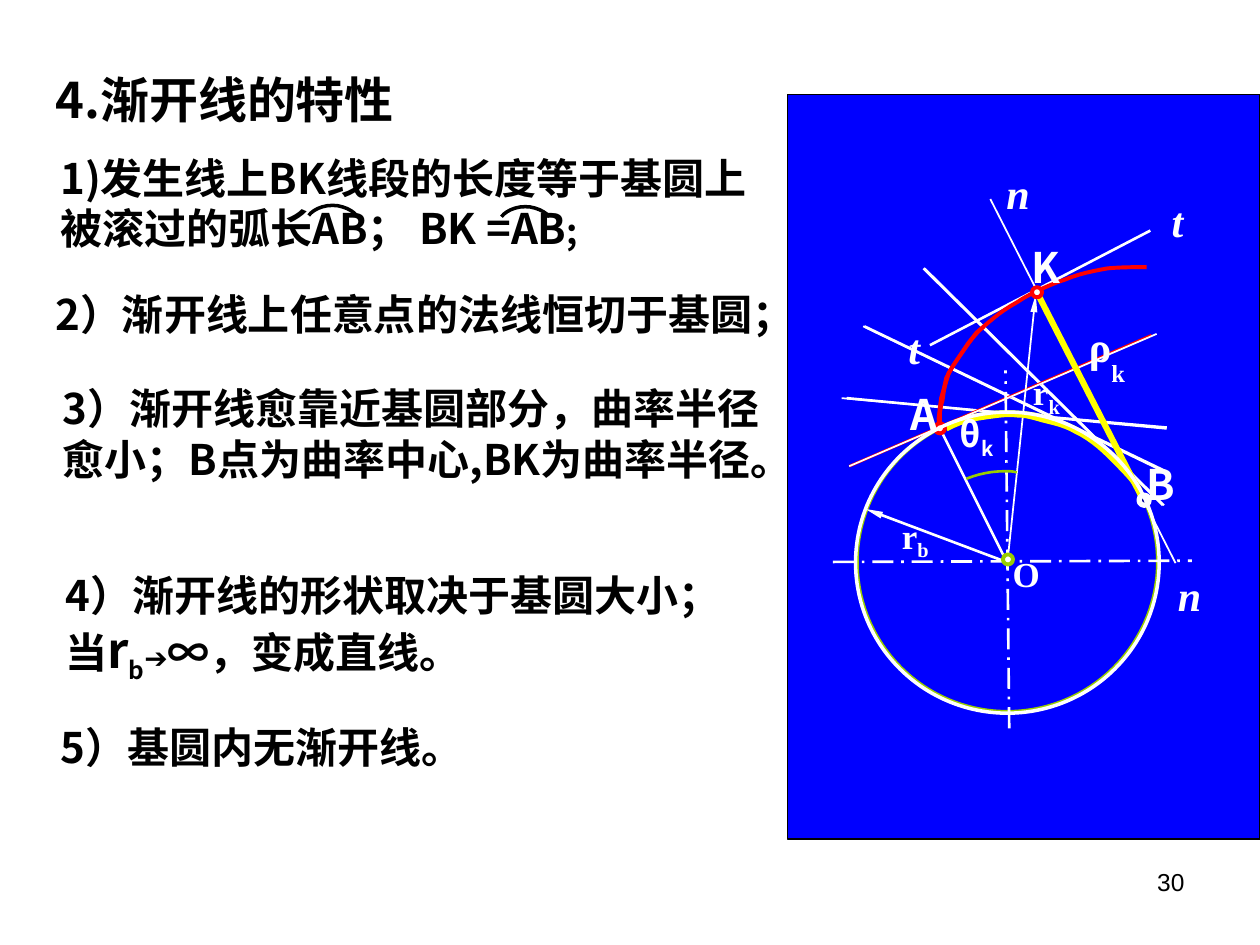
from lxml import etree
from pptx import Presentation
from pptx.dml.color import RGBColor
from pptx.enum.dml import MSO_LINE
from pptx.enum.shapes import MSO_CONNECTOR, MSO_SHAPE
from pptx.enum.text import MSO_ANCHOR, MSO_AUTO_SIZE, PP_ALIGN
from pptx.oxml.ns import qn
from pptx.util import Inches, Pt

WHITE = RGBColor(0xFF, 0xFF, 0xFF)
BLACK = RGBColor(0, 0, 0)
BLUE = RGBColor(0, 0, 0xFF)
NAVY = RGBColor(0, 0, 0x99)
RED = RGBColor(0xFF, 0, 0)
GREEN = RGBColor(0x99, 0xCC, 0)
YELLOW = RGBColor(0xFF, 0xFF, 0)
SANS = "Noto Sans CJK SC"
SERIF = "Times New Roman"

deck = Presentation()
deck.slide_width, deck.slide_height = Inches(10), Inches(7.5)
slide = deck.slides.add_slide(deck.slide_layouts[5])
shapes = slide.shapes


def put(text, at, size=24, font=SANS, color=BLACK, bold=True, italic=False,
        align=PP_ALIGN.LEFT, anchor=MSO_ANCHOR.TOP, wrap=False, box=None):
    """Write text: a string, or paragraphs made of (text, format) runs."""
    left, top, width, height = map(Inches, at)
    box = box or shapes.add_textbox(left, top, width, height)
    box.left, box.top, box.width, box.height = left, top, width, height
    frame = box.text_frame
    frame.word_wrap = wrap
    frame.auto_size = MSO_AUTO_SIZE.NONE
    frame.vertical_anchor = anchor
    lines = [[(text, {})]] if isinstance(text, str) else text
    for i, runs in enumerate(lines):
        para = frame.add_paragraph() if i else frame.paragraphs[0]
        para.alignment = align
        if font == SANS:
            para.line_spacing = Pt(1.2 * max(form.get("size", size) for _, form in runs))
        if i:
            para.space_before = Pt(3)
        for words, form in runs:
            run = para.add_run()
            run.text = words
            face = form.get("font", font)
            run.font.size = Pt(form.get("size", size))
            run.font.bold, run.font.italic = bold, italic
            run.font.color.rgb = color
            run.font.name = face
            props = run._r.get_or_add_rPr()
            etree.SubElement(props, qn("a:ea"), typeface=face)
            if form.get("sub"):
                props.set("baseline", "-25000")


def ring(at, line, weight, fill=None):
    """Draw a circle, hollow unless a fill is given."""
    oval = shapes.add_shape(MSO_SHAPE.OVAL, *map(Inches, at))
    oval.shadow.inherit = False
    oval.line.color.rgb, oval.line.width = line, Pt(weight)
    if fill is None:
        oval.fill.background()
    else:
        oval.fill.solid()
        oval.fill.fore_color.rgb = fill


# Title and the properties of the involute
put("4.渐开线的特性", (0.34, 0.5, 3.09, 0.57), size=28, box=shapes.title)
put([[("1)发生线上BK线段的长度等于基圆上被滚过的弧长AB； BK =AB", {}),
      (";", {"size": 20})]], (0.38, 1.16, 5.85, 0.9), wrap=True)
put("2）渐开线上任意点的法线恒切于基圆；", (0.34, 2.24, 6.14, 0.5))
put("3）渐开线愈靠近基圆部分，曲率半径愈小；B点为曲率中心,BK为曲率半径。",
    (0.4, 2.99, 5.85, 1.3), wrap=True)
put([[("4）渐开线的形状取决于基圆大小；", {})],
     [("当", {}), ("r", {"size": 28}), ("b", {"sub": True}),
      ("➔", {"size": 16, "font": "Arial"}), ("∞，变成直线。", {})]],
    (0.42, 4.47, 5.77, 1.01), wrap=True)
put("5）基圆内无渐开线。", (0.38, 5.68, 3.48, 0.5))
put("30", (7.17, 6.83, 2.33, 0.52), size=14, font="Arial", bold=False,
    align=PP_ALIGN.RIGHT, wrap=True)

# Blue panel and base circle
panel = shapes.add_shape(MSO_SHAPE.RECTANGLE, *map(Inches, (6.25, 0.75, 3.75, 5.91)))
panel.shadow.inherit = False
panel.fill.solid()
panel.fill.fore_color.rgb = BLUE
panel.line.color.rgb, panel.line.width = BLACK, Pt(0.75)
ring((6.8, 3.27, 2.39, 2.38), GREEN, 2.25)

# Tangents, normal, axes and radii: start, end, colour, weight, style
for x1, y1, x2, y2, color, weight, style in [
    (6.72, 3.16, 9.26, 3.4, WHITE, 1.5, ""),
    (6.68, 3.16, 9.26, 3.39, WHITE, 1, ""),
    (6.86, 2.59, 9.25, 3.74, WHITE, 1.5, ""),
    (6.85, 2.59, 9.25, 3.75, WHITE, 1, ""),
    (7.33, 2.13, 9.23, 4.01, WHITE, 1.5, ""),
    (7.34, 2.13, 9.24, 4.01, WHITE, 1, ""),
    (6.74, 3.7, 9.14, 2.66, RED, 1.5, ""),
    (6.74, 3.7, 9.18, 2.65, WHITE, 1, ""),
    (7.38, 2.74, 9.13, 1.83, WHITE, 1.5, ""),
    (7.86, 1.58, 9.33, 4.47, WHITE, 1, ""),
    (6.61, 4.46, 9.46, 4.45, WHITE, 1.5, "axis"),
    (8.01, 5.78, 7.98, 2.94, WHITE, 1.5, "axis"),
    (8.25, 2.36, 9.08, 3.98, YELLOW, 3.5, ""),
    (7.48, 3.44, 7.97, 4.42, WHITE, 1.5, ""),
    (8, 4.42, 8.22, 2.34, WHITE, 1, "arrow"),
    (7.96, 4.45, 6.87, 4.04, WHITE, 1.5, "arrow"),
]:
    line = shapes.add_connector(MSO_CONNECTOR.STRAIGHT, *map(Inches, (x1, y1, x2, y2)))
    line.line.color.rgb, line.line.width = color, Pt(weight)
    if style == "axis":
        line.line.dash_style = MSO_LINE.LONG_DASH_DOT
    if style == "arrow":
        etree.SubElement(line.line._get_or_add_ln(), qn("a:tailEnd"),
                         type="triangle", w="sm", len="lg")
    etree.SubElement(line._element.spPr, qn("a:effectLst"))

# Curves as chains of cubic Bézier points: involute, arc AB, angle, arc marks
mark = [(0.38, 0.08), (0.35, 0.04), (0.27, 0), (0.19, 0), (0.1, 0), (0.03, 0.04), (0, 0.08)]
curves = [
    ([(7.45, 3.34), (7.46, 3.29), (7.46, 3.24), (7.48, 3.18), (7.49, 3.11), (7.5, 3.03),
      (7.53, 2.96), (7.57, 2.89), (7.62, 2.82), (7.67, 2.75), (7.71, 2.69), (7.75, 2.64),
      (7.82, 2.58), (7.89, 2.52), (7.96, 2.46), (8.07, 2.4), (8.17, 2.33), (8.33, 2.26),
      (8.45, 2.22), (8.57, 2.17), (8.68, 2.15), (8.79, 2.13), (8.9, 2.12), (9, 2.12),
      (9.1, 2.12)], RED, 2.25),
    ([(7.51, 3.4), (7.55, 3.38), (7.59, 3.36), (7.65, 3.34), (7.71, 3.32), (7.79, 3.31),
      (7.86, 3.3), (7.93, 3.29), (8, 3.28), (8.08, 3.29), (8.15, 3.29), (8.21, 3.31),
      (8.28, 3.33), (8.36, 3.35), (8.46, 3.37), (8.54, 3.42), (8.63, 3.46), (8.73, 3.54),
      (8.8, 3.61), (8.87, 3.68), (8.95, 3.76), (8.99, 3.81), (9.04, 3.87), (9.05, 3.91),
      (9.06, 3.95)], YELLOW, 3.5),
    ([(7.67, 3.8), (7.77, 3.76), (7.87, 3.74), (7.98, 3.74), (8.01, 3.74), (8.04, 3.74),
      (8.07, 3.75)], GREEN, 1.5),
]
for left, top in [(3.98, 1.64), (2.45, 1.63)]:
    curves.append(([(left + x, top + y) for x, y in mark], BLACK, 2))
paths = []
for knots, color, weight in curves:
    dots = knots[:1]
    for i in range(0, len(knots) - 1, 3):
        for t in [n / 6 for n in range(1, 7)]:
            parts = ((1 - t) ** 3, 3 * t * (1 - t) ** 2, 3 * t * t * (1 - t), t ** 3)
            dots.append(tuple(sum(f * p[k] for f, p in zip(parts, knots[i:i + 4]))
                              for k in (0, 1)))
    paths.append((dots, color, weight))

# Straight-sided steps of the involute
for dots in [
    [(7.46, 3.41), (7.45, 3.35), (7.46, 3.31), (7.46, 3.23)],
    [(7.46, 3.41), (7.45, 3.32), (7.46, 3.24), (7.47, 3.16), (7.5, 3.06), (7.53, 2.96),
     (7.55, 2.93)],
    [(7.46, 3.41), (7.46, 3.33), (7.46, 3.27), (7.47, 3.17), (7.49, 3.09), (7.51, 3),
     (7.56, 2.91), (7.64, 2.79), (7.68, 2.73), (7.72, 2.68), (7.75, 2.64), (7.81, 2.59)],
]:
    paths.append((dots, RED, 2.25))
for dots, color, weight in paths:
    dots = [(Inches(x), Inches(y)) for x, y in dots]
    pen = shapes.build_freeform(*dots[0])
    pen.add_line_segments(dots[1:], close=False)
    curve = pen.convert_to_shape()
    curve.shadow.inherit = False
    curve.fill.background()
    curve.line.color.rgb, curve.line.width = color, Pt(weight)

# Points K, O, A and B
for x, y, edge, weight, fill in [
    (8.19, 2.28, RED, 2.25, WHITE), (7.96, 4.4, GREEN, 2.25, WHITE),
    (7.42, 3.36, RED, 2.25, WHITE), (9.04, 3.93, WHITE, 3, NAVY),
]:
    ring((x, y, 0.08, 0.08), edge, weight, fill)

# Labels: text, subscript, place, size, font, italic
for text, sub, at, size, font, italic in [
    ("t", "", (9.2, 1.5, 0.29, 0.5), 24, SERIF, True),
    ("t", "", (7.11, 2.51, 0.29, 0.5), 24, SERIF, True),
    ("n", "", (7.89, 1.28, 0.38, 0.5), 24, SERIF, True),
    ("n", "", (9.25, 4.47, 0.38, 0.5), 24, SERIF, True),
    ("B", "", (9.01, 3.59, 0.4, 0.5), 24, SANS, False),
    ("K", "", (8.1, 1.87, 0.4, 0.5), 24, SANS, False),
    ("A", "", (7.13, 3.03, 0.4, 0.5), 24, SANS, False),
    ("O", "", (7.94, 4.33, 0.41, 0.44), 20, SERIF, False),
    ("r", "k", (8.1, 2.89, 0.41, 0.48), 20, SERIF, False),
    ("θ", "k", (7.46, 3.25, 0.58, 0.48), 20, SANS, False),
    ("r", "b", (7.05, 4.03, 0.43, 0.48), 20, SERIF, False),
    ("ρ", "", (8.54, 2.49, 0.38, 0.5), 24, SERIF, False),
    ("k", "", (8.72, 2.79, 0.31, 0.34), 14, SERIF, False),
]:
    runs = [(text, {})] + ([(sub, {"sub": True})] if sub else [])
    put([runs], at, size=size, font=font, color=WHITE, italic=italic,
        align=PP_ALIGN.CENTER, anchor=MSO_ANCHOR.MIDDLE)

# White base circle on top
ring((6.79, 3.27, 2.41, 2.39), WHITE, 2)

deck.save("out.pptx")
